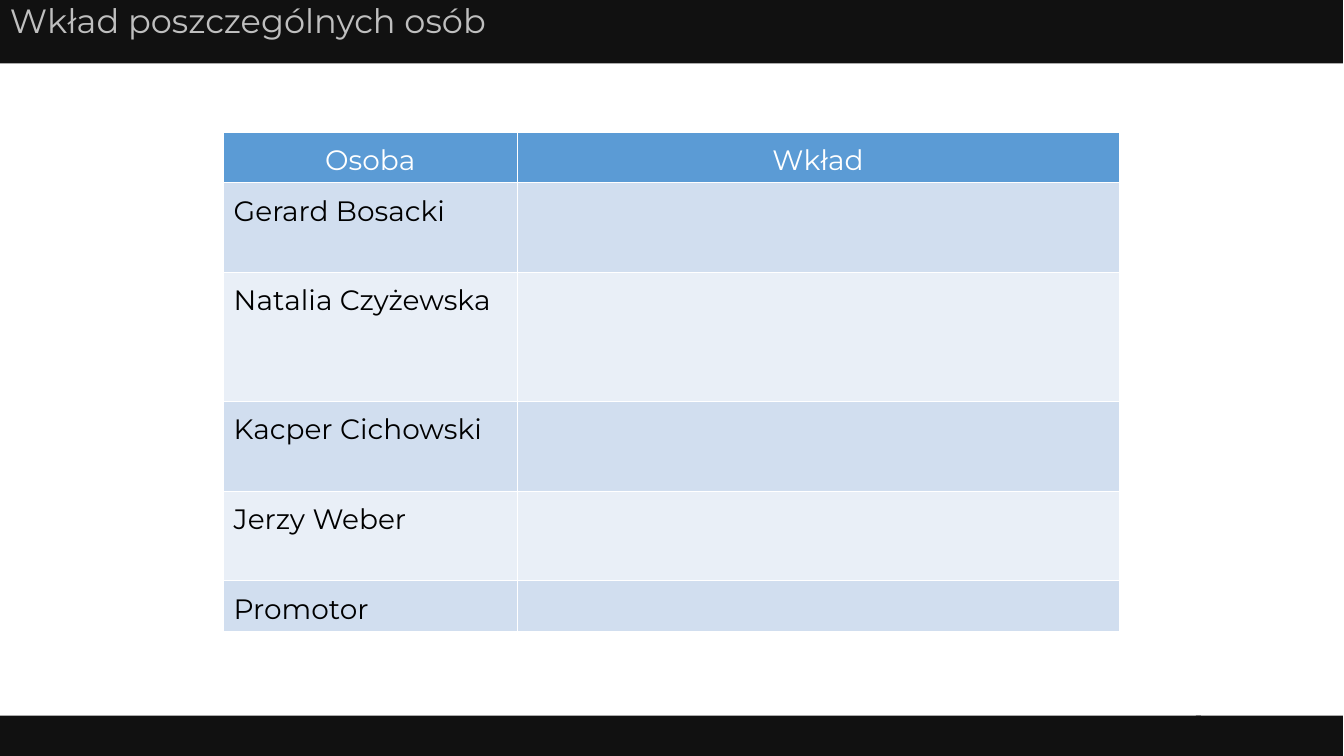
from dataclasses import dataclass

from lxml import etree
from pptx import Presentation
from pptx import util as u
from pptx.dml.color import RGBColor
from pptx.enum import shapes, text
from pptx.oxml.ns import qn

EMU_PER_PX = 9144  # 100 px to the inch
BAR_COLOR = "111111"
HEADER_COLOR = "5B9BD5"
BAND_COLORS = ("D1DEEF", "E9EFF7")
WHITE = "FFFFFF"
BLACK = "000000"
FONT = "Montserrat"


@dataclass(frozen=True)
class Style:
    size: int
    color: str
    spacing: float
    align: text.PP_ALIGN = text.PP_ALIGN.LEFT


@dataclass(frozen=True)
class Bar:
    left: int
    top: int
    width: int
    height: int
    label: str = ""


@dataclass(frozen=True)
class Row:
    height: int
    labels: tuple[str, ...]


TITLE = Style(24, "BFBFBF", 0.9)
HEADING = Style(20, WHITE, 1.18, text.PP_ALIGN.CENTER)
PERSON = Style(20, BLACK, 1.18)

BARS = (
    Bar(0, 0, 1333, 63, "Wkład poszczególnych osób"),
    Bar(0, 710, 1192, 40),
    Bar(1187, 710, 146, 40),
)
COLUMN_WIDTHS = (291, 598)
ROWS = (
    Row(49, ("Osoba", "Wkład")),
    Row(89, ("Gerard Bosacki", "")),
    Row(128, ("Natalia Czyżewska", "")),
    Row(89, ("Kacper Cichowski", "")),
    Row(89, ("Jerzy Weber", "")),
    Row(49, ("Promotor", "")),
)


def px(length: int) -> u.Emu:
    return u.Emu(length * EMU_PER_PX)


def paint(fill, color: str) -> None:
    fill.solid()
    fill.fore_color.rgb = RGBColor.from_string(color)


def write(frame, label: str, style: Style) -> None:
    paragraph = frame.paragraphs[0]
    paragraph.alignment = style.align
    paragraph.line_spacing = style.spacing
    run = paragraph.add_run()
    run.text = label
    run.font.name = FONT
    run.font.size = u.Pt(style.size)
    run.font.bold = False
    run.font.color.rgb = RGBColor.from_string(style.color)


def draw_bar(slide, bar: Bar) -> None:
    band = slide.shapes.add_shape(
        shapes.MSO_SHAPE.RECTANGLE,
        px(bar.left), px(bar.top), px(bar.width), px(bar.height))
    band.shadow.inherit = False
    paint(band.fill, BAR_COLOR)
    band.line.fill.background()
    if bar.label:
        band.text_frame.word_wrap = True
        band.text_frame.vertical_anchor = text.MSO_ANCHOR.TOP
        write(band.text_frame, bar.label, TITLE)


def add_borders(cell, color: str, width: u.Emu) -> None:
    properties = cell._tc.get_or_add_tcPr()
    # Borders come before the fill in the cell properties
    for position, side in enumerate(("a:lnL", "a:lnR", "a:lnT", "a:lnB")):
        border = etree.Element(qn(side), w=str(int(width)))
        solid = etree.SubElement(border, qn("a:solidFill"))
        etree.SubElement(solid, qn("a:srgbClr"), val=color)
        properties.insert(position, border)


def draw_contributions(slide, left: int, top: int) -> None:
    contributions = slide.shapes.add_table(
        len(ROWS), len(COLUMN_WIDTHS), px(left), px(top),
        px(sum(COLUMN_WIDTHS)), px(sum(row.height for row in ROWS))).table
    for column, width in zip(contributions.columns, COLUMN_WIDTHS):
        column.width = px(width)
    for index, row in enumerate(ROWS):
        contributions.rows[index].height = px(row.height)
        is_header = index == 0
        color = HEADER_COLOR if is_header else BAND_COLORS[(index - 1) % 2]
        for column_index, label in enumerate(row.labels):
            cell = contributions.cell(index, column_index)
            paint(cell.fill, color)
            add_borders(cell, WHITE, u.Pt(0.45))
            if label:
                write(cell.text_frame, label, HEADING if is_header else PERSON)


def main() -> None:
    presentation = Presentation()
    presentation.slide_width = px(1334)
    presentation.slide_height = px(750)
    slide = presentation.slides.add_slide(presentation.slide_layouts[6])
    paint(slide.background.fill, WHITE)

    # Title bar and the two footer bars
    for bar in BARS:
        draw_bar(slide, bar)

    # Table of people and their contributions
    draw_contributions(slide, 222, 131)

    presentation.save("out.pptx")


if __name__ == "__main__":
    main()
